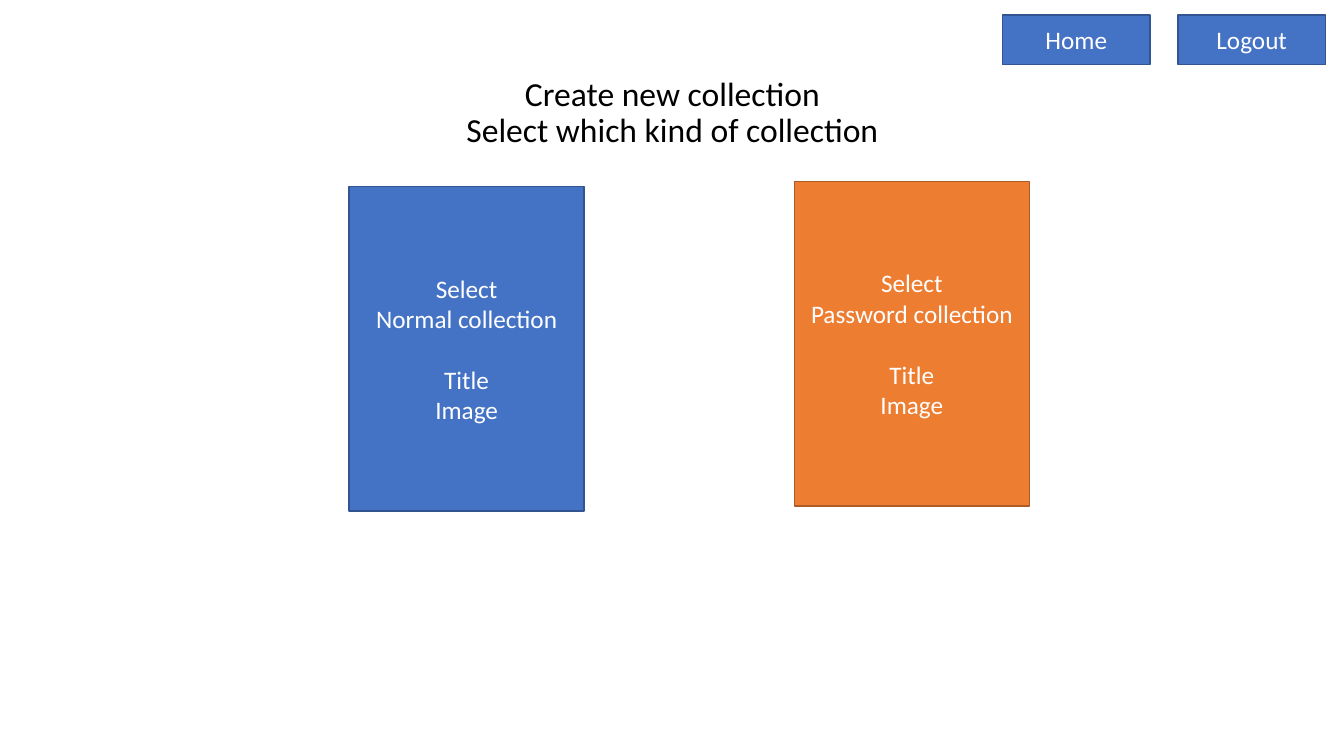
from pptx import Presentation
from pptx.dml.color import RGBColor
from pptx.enum import shapes, text
from pptx.util import Cm, Pt

BLUE = RGBColor(0x44, 0x72, 0xC4)
BLUE_EDGE = RGBColor(0x32, 0x54, 0x91)
ORANGE = RGBColor(0xED, 0x7D, 0x31)
ORANGE_EDGE = RGBColor(0xAF, 0x5C, 0x24)
WHITE = RGBColor(0xFF, 0xFF, 0xFF)
BLACK = RGBColor(0x00, 0x00, 0x00)
FONT = "Calibri"
GROUP_GAP = Pt(22)


def add_run(paragraph, words, size, color):
    run = paragraph.add_run()
    run.text = words
    run.font.name = FONT
    run.font.size = Pt(size)
    run.font.color.rgb = color


def add_box(slide, left, top, width, height, groups, fill, edge):
    """Draw a filled rectangle; groups of lines are set apart by a gap."""
    box = slide.shapes.add_shape(shapes.MSO_SHAPE.RECTANGLE,
                                 Cm(left), Cm(top), Cm(width), Cm(height))
    box.shadow.inherit = False
    box.fill.solid()
    box.fill.fore_color.rgb = fill
    box.line.color.rgb = edge
    box.line.width = Pt(1)
    frame = box.text_frame
    frame.word_wrap = True
    frame.vertical_anchor = text.MSO_ANCHOR.MIDDLE
    paragraph = frame.paragraphs[0]
    for group_index, group in enumerate(groups):
        for line_index, words in enumerate(group):
            if group_index or line_index:
                paragraph = frame.add_paragraph()
            if group_index and line_index == 0:
                paragraph.space_before = GROUP_GAP
            paragraph.alignment = text.PP_ALIGN.CENTER
            add_run(paragraph, words, 18, WHITE)


def add_title(slide, left, top, width, height, lines):
    title = slide.shapes.title
    title.left, title.top = Cm(left), Cm(top)
    title.width, title.height = Cm(width), Cm(height)
    frame = title.text_frame
    frame.word_wrap = True
    frame.vertical_anchor = text.MSO_ANCHOR.MIDDLE
    paragraph = frame.paragraphs[0]
    paragraph.alignment = text.PP_ALIGN.CENTER
    paragraph.line_spacing = 0.9
    for index, words in enumerate(lines):
        if index:
            paragraph.add_line_break()
        add_run(paragraph, words, 24, BLACK)


def add_navigation(slide, left, top, width, height, labels):
    button_width = 3.71
    step = (width - button_width) / (len(labels) - 1)
    for index, label in enumerate(labels):
        add_box(slide, left + index * step, top, button_width, height,
                [[label]], BLUE, BLUE_EDGE)


def add_collection_card(slide, left, top, width, height, kind, fill, edge):
    groups = [["Select", f"{kind} collection"], ["Title", "Image"]]
    add_box(slide, left, top, width, height, groups, fill, edge)


def main():
    presentation = Presentation()
    presentation.slide_width = Cm(33.87)
    presentation.slide_height = Cm(19.05)
    slide = presentation.slides.add_slide(presentation.slide_layouts[5])
    add_title(slide, 2.34, 1.02, 29.21, 3.68,
              ["Create new collection", "Select which kind of collection"])
    add_collection_card(slide, 8.8, 4.7, 5.92, 8.18, "Normal", BLUE, BLUE_EDGE)
    add_collection_card(slide, 20.02, 4.57, 5.92, 8.18, "Password", ORANGE, ORANGE_EDGE)
    add_navigation(slide, 25.27, 0.38, 8.13, 1.25, ["Home", "Logout"])
    presentation.save("out.pptx")


if __name__ == "__main__":
    main()
